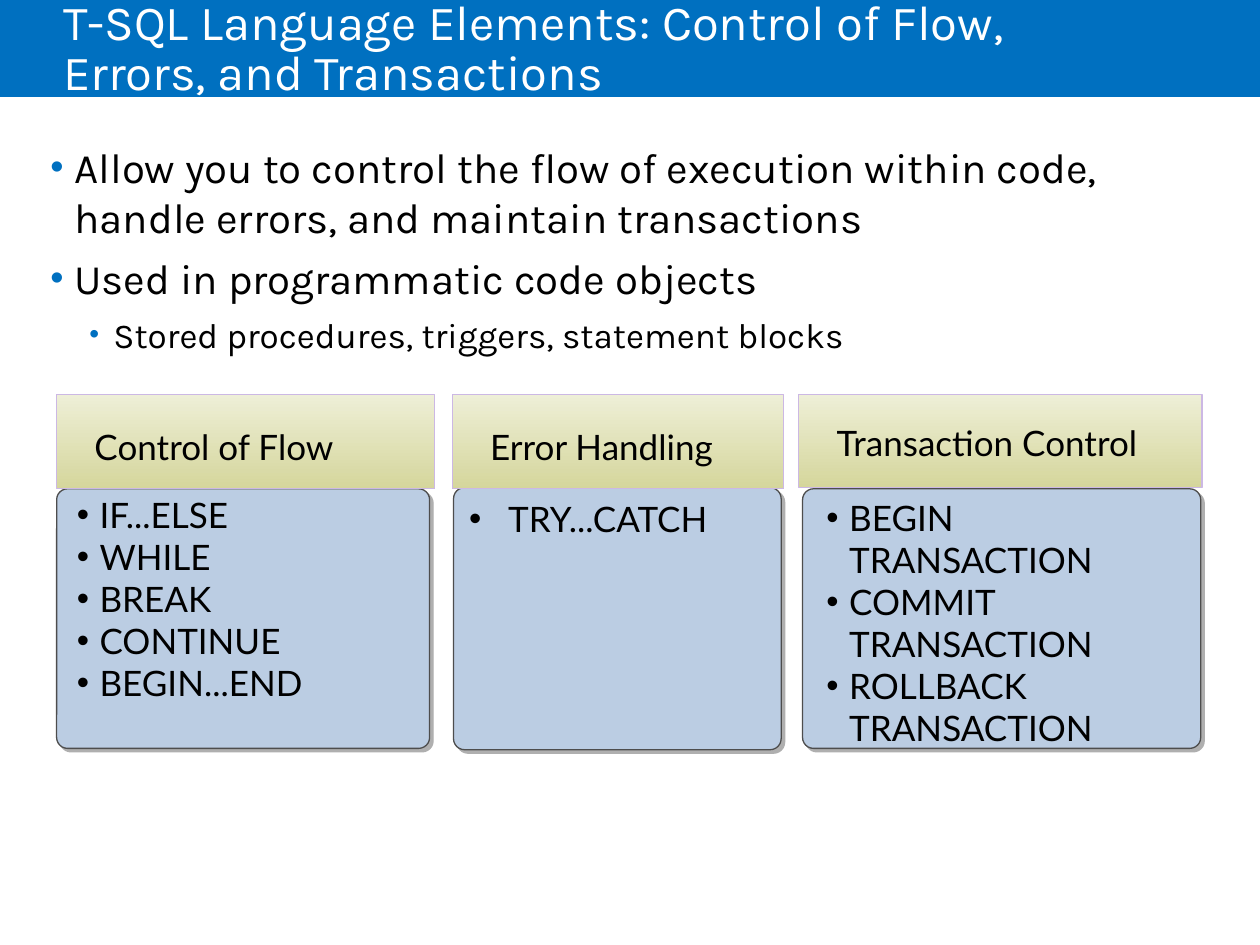
"""Build a slide on T-SQL control of flow, errors and transactions."""
from dataclasses import dataclass
from typing import Optional

from lxml import etree
from pptx import Presentation
from pptx.dml.color import RGBColor
from pptx.enum.shapes import MSO_SHAPE
from pptx.enum.text import MSO_ANCHOR, MSO_AUTO_SIZE, PP_ALIGN
from pptx.oxml.ns import qn
from pptx.util import Inches, Pt

RECT, ROUND = MSO_SHAPE.RECTANGLE, MSO_SHAPE.ROUNDED_RECTANGLE
TOP, MIDDLE = MSO_ANCHOR.TOP, MSO_ANCHOR.MIDDLE
LEFT, NO_FIT = PP_ALIGN.LEFT, MSO_AUTO_SIZE.NONE
BLUE, BLACK, WHITE = "0070C0", "000000", "FFFFFF"
Box = tuple[float, float, float, float]


@dataclass
class Item:
    text: str
    size: float = 20
    font: str = "Lato"
    color: str = BLACK
    indent: float = 0
    hang: float = 0
    dot: str = ""
    scale: int = 100
    before: float = 0
    lead: float = 1
    level: int = 0


@dataclass
class Panel:
    title: str
    head: Box
    body: Box
    words: list[str]
    inner: Optional[Box] = None
    hang: float = 0.18
    lead: float = 1


def rgb(code: str) -> RGBColor:
    return RGBColor.from_string(code)


def add_dot(para, item: Item) -> None:
    props = para._p.get_or_add_pPr()
    props.set("marL", str(Inches(item.indent)))
    props.set("indent", str(-Inches(item.hang)))
    tint = etree.SubElement(props, qn("a:buClr"))
    etree.SubElement(tint, qn("a:srgbClr"), val=item.dot)
    etree.SubElement(props, qn("a:buSzPct"), val=str(item.scale * 1000))
    etree.SubElement(props, qn("a:buFont"), typeface="Arial")
    etree.SubElement(props, qn("a:buChar"), char="•")


def write(shape, items: list[Item], pad: Box = (0, 0, 0, 0), anchor=TOP) -> None:
    frame = shape.text_frame
    frame.word_wrap, frame.auto_size = True, NO_FIT
    frame.vertical_anchor = anchor
    (frame.margin_left, frame.margin_top,
     frame.margin_right, frame.margin_bottom) = map(Inches, pad)
    for num, item in enumerate(items):
        para = frame.add_paragraph() if num else frame.paragraphs[0]
        para.alignment, para.level = LEFT, item.level
        para.line_spacing, para.space_before = item.lead, Pt(item.before)
        if item.dot:
            add_dot(para, item)
        run = para.add_run()
        run.text = item.text
        run.font.size, run.font.name = Pt(item.size), item.font
        run.font.color.rgb = rgb(item.color)


def add_box(slide, kind, box: Box, fill: str, line: str = ""):
    shape = slide.shapes.add_shape(kind, *map(Inches, box))
    shape.shadow.inherit = False
    shape.fill.solid()
    shape.fill.fore_color.rgb = rgb(fill)
    if line:
        shape.line.color.rgb = rgb(line)
        shape.line.width = Pt(0.75)
    else:
        shape.line.fill.background()
    return shape


def add_text(slide, box: Box, items: list[Item]) -> None:
    write(slide.shapes.add_textbox(*map(Inches, box)), items)


def add_shade(shape) -> None:
    effects = shape._element.spPr.find(qn("a:effectLst"))
    shade = etree.SubElement(effects, qn("a:outerShdw"), blurRad="0",
                             dist=str(Pt(2.8)), dir="2700000", algn="ctr",
                             rotWithShape="0")
    etree.SubElement(shade, qn("a:srgbClr"), val="AFAFAF")


def add_panel(slide, panel: Panel) -> None:
    body = add_box(slide, ROUND, panel.body, "BBCDE3", "4D4D4D")
    body.adjustments[0] = 0.042
    add_shade(body)
    items = [Item(word, indent=panel.hang, hang=panel.hang, dot=BLACK)
             for word in panel.words]
    if panel.inner:
        add_text(slide, panel.inner, items)
    else:
        write(body, items, (0.1, 0.05, 0.1, 0.05))
    head = add_box(slide, RECT, panel.head, "EEEFD7", "CCB8E4")
    head.fill.gradient()
    head.fill.gradient_angle = 270
    for stop, code in zip(head.fill.gradient_stops, ("EEEFD7", "D5D69C")):
        stop.color.rgb = rgb(code)
    write(head, [Item(panel.title, lead=panel.lead)],
          (0.3, 0.12, 0.1, 0.05), MIDDLE)


def point(text: str, size: float = 24, indent: float = 0.19,
          scale: int = 90, level: int = 0) -> Item:
    return Item(text, size, "Karla", indent=indent, hang=0.19, dot=BLUE,
                scale=scale, before=6, level=level)


POINTS = [
    point("Allow you to control the flow of execution within code, "
          "handle errors, and maintain transactions"),
    point("Used in programmatic code objects"),
    point("Stored procedures, triggers, statement blocks", 20, 0.5, 80, 1),
]
PANELS = [
    Panel("Control of Flow", (0.45, 3.13, 3, 0.75), (0.45, 3.88, 2.96, 2.06),
          ["IF...ELSE", "WHILE", "BREAK", "CONTINUE", "BEGIN...END"],
          (0.61, 3.92, 2.41, 2.03)),
    Panel("Error Handling", (3.59, 3.13, 2.63, 0.75), (3.6, 3.87, 2.6, 2.08),
          ["TRY...CATCH"], hang=0.31),
    Panel("Transaction Control", (6.34, 3.13, 3.2, 0.74),
          (6.37, 3.88, 3.16, 2.06),
          [f"{verb} TRANSACTION" for verb in ("BEGIN", "COMMIT", "ROLLBACK")],
          (6.56, 3.94, 2.9, 2.06), lead=0.9),
]


def main() -> None:
    deck = Presentation()
    deck.slide_width, deck.slide_height = Inches(10), Inches(7.5)
    slide = deck.slides.add_slide(deck.slide_layouts[5])
    title = slide.shapes.title
    title.left, title.top, title.width, title.height = map(
        Inches, (0.5, 0, 8.5, 0.81))
    write(title, [Item("T-SQL Language Elements: Control of Flow, "
                       "Errors, and Transactions", 28, "Karla", WHITE,
                       lead=0.85)], (0, 0.05, 0.1, 0.05), MIDDLE)
    band = add_box(slide, RECT, (0, 0, 10, 0.77), BLUE)
    title._element.addprevious(band._element)
    add_text(slide, (0.4, 1.12, 8.88, 2), POINTS)
    for panel in PANELS:
        add_panel(slide, panel)
    deck.save("out.pptx")


if __name__ == "__main__":
    main()
